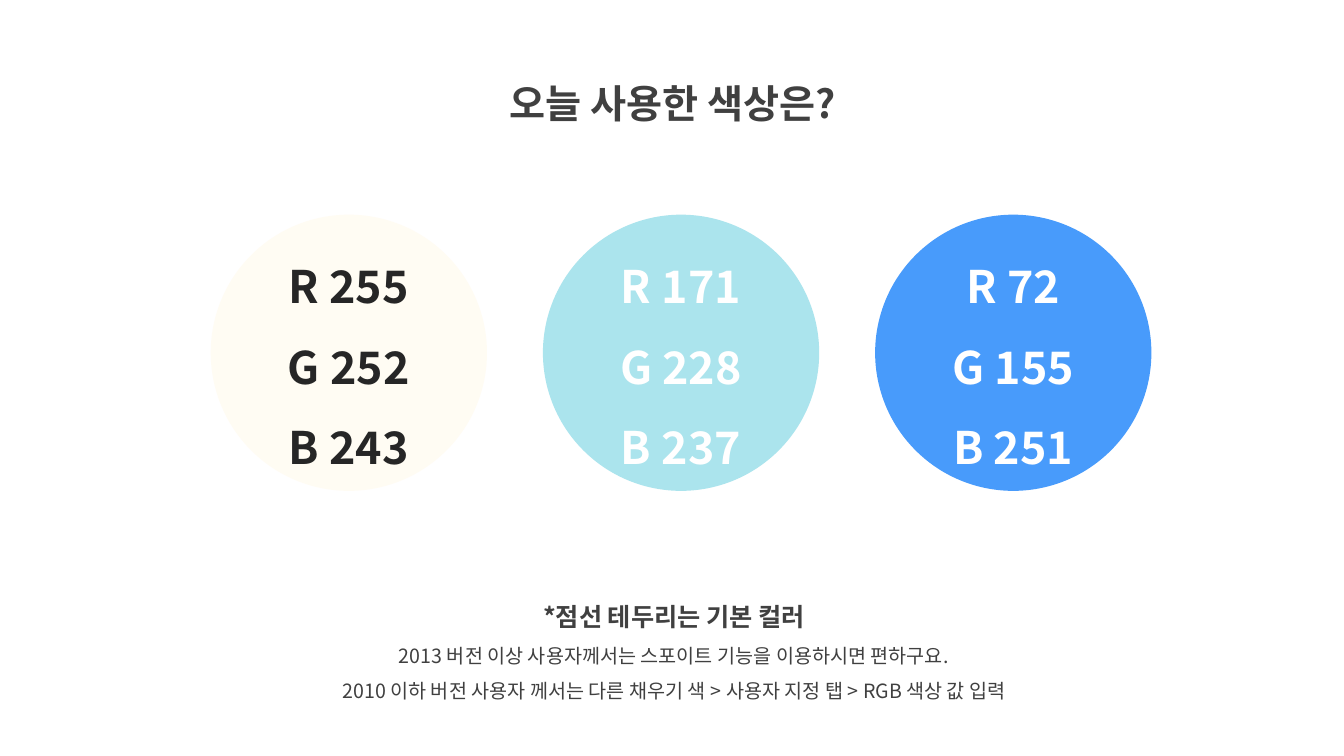
from dataclasses import dataclass
from lxml.etree import SubElement
from pptx import Presentation
from pptx.dml.color import RGBColor as RGB
from pptx.enum.shapes import MSO_SHAPE as Shape
from pptx.enum.text import MSO_ANCHOR as Anchor, MSO_AUTO_SIZE as Fit, PP_ALIGN as Align
from pptx.oxml.ns import qn
from pptx.util import Inches, Pt


@dataclass
class Theme:
    font: str = "Noto Sans CJK KR"
    gray: RGB = RGB(64, 64, 64)
    dark: RGB = RGB(38, 38, 38)
    white: RGB = RGB(255, 255, 255)
    head: int = 28
    code: int = 32
    note: int = 18
    small: int = 14
    lead: float = 1.5


theme = Theme()


def write(shape, lines, color, anchor):
    frame = shape.text_frame
    frame.word_wrap = True
    frame.auto_size = Fit.NONE
    frame.vertical_anchor = anchor
    frame.text = "\n".join(text for text, size, bold in lines)
    for para, (text, size, bold) in zip(frame.paragraphs, lines):
        para.alignment = Align.CENTER
        para.line_spacing = theme.lead
        para.space_before = Pt(0)
        font = para.font
        font.size, font.bold = Pt(size), bold
        font.color.rgb = color
        font.name = theme.font
        props = para._p.get_or_add_pPr().get_or_add_defRPr()
        SubElement(props, qn("a:ea")).set("typeface", theme.font)


def place(shape, left, top, width, height):
    shape.left, shape.top = Inches(left), Inches(top)
    shape.width, shape.height = Inches(width), Inches(height)


deck = Presentation()
deck.slide_width, deck.slide_height = Inches(13.33), Inches(7.5)
slide = deck.slides.add_slide(deck.slide_layouts[2])
title, body = slide.placeholders

place(title, 4.36, 0.5, 4.63, 0.72)
write(title, [("오늘 사용한 색상은?", theme.head, True)], theme.gray, Anchor.TOP)

place(body, 2.69, 5.77, 7.99, 1.26)
notes = [
    ("*점선 테두리는 기본 컬러", theme.note, True),
    ("2013 버전 이상 사용자께서는 스포이트 기능을 이용하시면 편하구요.", theme.small, False),
    ("2010 이하 버전 사용자 께서는 다른 채우기 색 > 사용자 지정 탭 > RGB 색상 값 입력", theme.small, False),
]
write(body, notes, theme.gray, Anchor.TOP)

left, top, size, step = 2.09, 2.13, 2.74, 3.295
swatches = [
    ((255, 252, 243), theme.dark),
    ((171, 228, 237), theme.white),
    ((72, 155, 251), theme.white),
]
for col, (tint, ink) in enumerate(swatches):
    disc = slide.shapes.add_shape(
        Shape.OVAL, Inches(left + col * step), Inches(top), Inches(size), Inches(size)
    )
    disc.shadow.inherit = False
    disc.fill.solid()
    disc.fill.fore_color.rgb = RGB(*tint)
    disc.line.fill.background()
    lines = [(f"{key} {value}", theme.code, True) for key, value in zip("RGB", tint)]
    write(disc, lines, ink, Anchor.MIDDLE)

deck.save("out.pptx")
